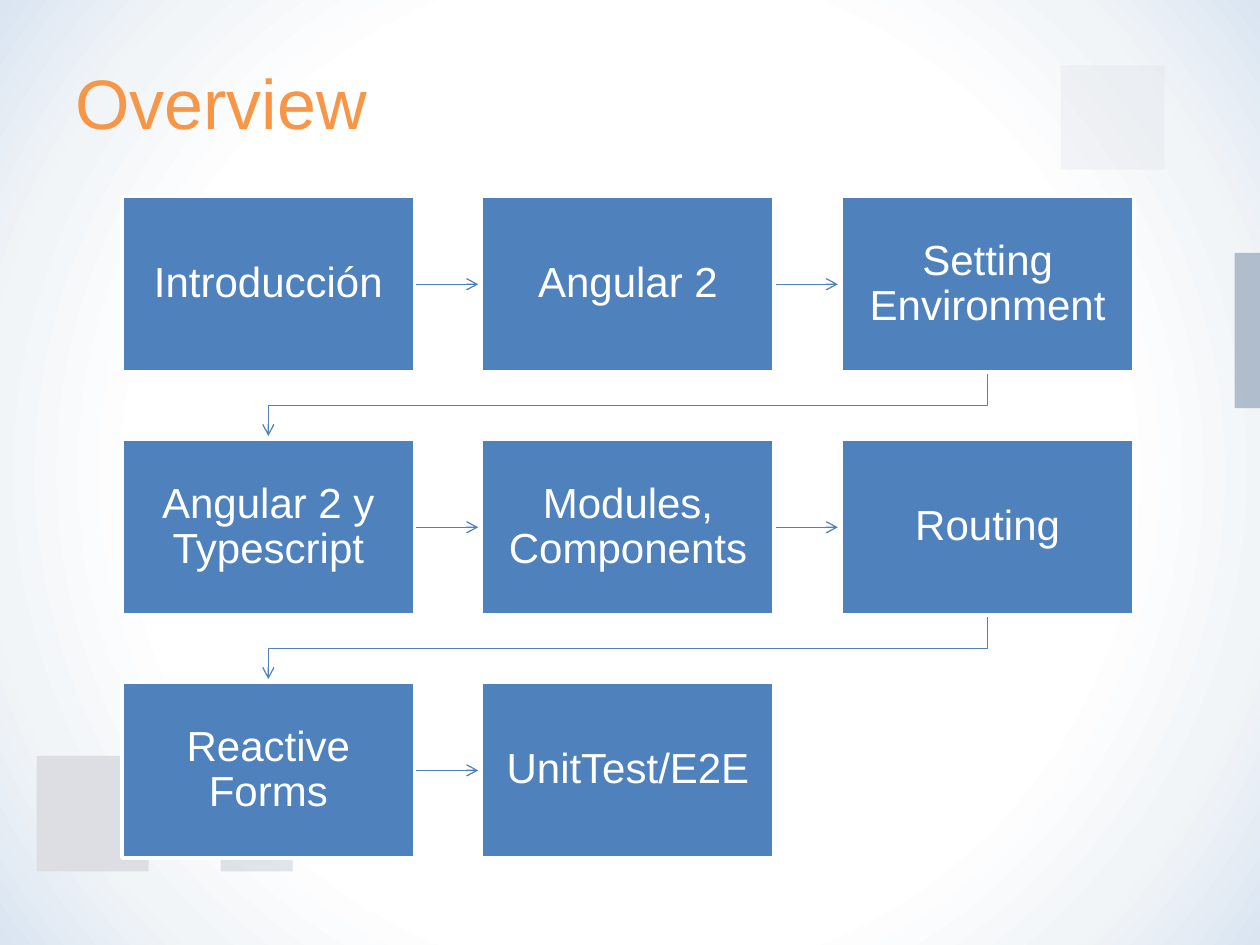
from lxml.etree import SubElement
from pptx import Presentation
from pptx.dml.color import RGBColor
from pptx.enum.shapes import MSO_CONNECTOR, MSO_SHAPE
from pptx.enum.text import MSO_ANCHOR, PP_ALIGN
from pptx.oxml import parse_xml
from pptx.oxml.ns import nsdecls, qn
from pptx.util import Cm, Pt

BLUE, ORANGE, WHITE = "4F81BD", "F79646", "FFFFFF"
SLATE, MIST = "8599B0", "DCDEE4"
GLOW = [(0, "FFFFFF"), (62, "FFFFFF"), (81, "F2F5F8"), (100, "DAE5F1")]

# left, top, width, height in cm, colour, opacity in percent
SQUARES = [
    (24.89, 5.1, 0.51, 3.13, SLATE, 60),
    (4.45, 16.15, 1.45, 1.42, SLATE, 24),
    (0.74, 15.24, 2.26, 2.33, MIST, 100),
    (21.38, 1.32, 2.1, 2.1, MIST, 28),
]
TOPICS = [
    "Introducción", "Angular 2", "Setting Environment",
    "Angular 2 y Typescript", "Modules, Components", "Routing",
    "Reactive Forms", "UnitTest/E2E",
]
COLS = 3
LEFT, TOP = 2.46, 3.96
BOX_W, BOX_H = 5.9, 3.54
STEP_X, STEP_Y = 7.25, 4.9
GAP = 0.07


def rgb(value):
    return RGBColor.from_string(value)


class Deck:
    """Holds the style and the current slide."""

    font = "Arial"
    line_width = Pt(0.75)

    def __init__(self, width, height):
        self.prs = Presentation()
        self.prs.slide_width, self.prs.slide_height = Cm(width), Cm(height)
        self.s = None

    def add_slide(self):
        self.s = self.prs.slides.add_slide(self.prs.slide_layouts[6])

    def background(self, stops):
        """Fill the slide with a round gradient from the centre outwards."""
        gs = "".join(
            f'<a:gs pos="{pos * 1000}"><a:srgbClr val="{color}"/></a:gs>'
            for pos, color in stops
        )
        bg = parse_xml(
            f'<p:bg {nsdecls("p", "a")}><p:bgPr><a:gradFill rotWithShape="1">'
            f'<a:gsLst>{gs}</a:gsLst><a:path path="circle">'
            '<a:fillToRect l="50000" t="50000" r="50000" b="50000"/></a:path>'
            "</a:gradFill><a:effectLst/></p:bgPr></p:bg>"
        )
        self.s._element.cSld.insert(0, bg)

    def set_text(self, sp, text, size, color, inset, align, spacing=1.0):
        tf = sp.text_frame
        frame = {"word_wrap": True, "vertical_anchor": MSO_ANCHOR.MIDDLE}
        for side in ("left", "top", "right", "bottom"):
            frame[f"margin_{side}"] = Cm(inset)
        p = tf.paragraphs[0]
        r = p.add_run()
        r.text = text
        formats = [
            (tf, frame),
            (p, {"alignment": align, "line_spacing": spacing}),
            (r.font, {"name": self.font, "size": Pt(size)}),
        ]
        for target, values in formats:
            for name, value in values.items():
                setattr(target, name, value)
        r.font.color.rgb = rgb(color)

    def title(self, text, x, y, w, h):
        sp = self.s.shapes.add_textbox(Cm(x), Cm(y), Cm(w), Cm(h))
        self.set_text(sp, text, 40, ORANGE, 0.25, PP_ALIGN.LEFT)

    def rect(self, x, y, w, h, color, opacity=100):
        sp = self.s.shapes.add_shape(
            MSO_SHAPE.RECTANGLE, Cm(x), Cm(y), Cm(w), Cm(h))
        sp.shadow.inherit = False
        sp.fill.solid()
        sp.fill.fore_color.rgb = rgb(color)
        sp.line.fill.background()
        if opacity < 100:
            clr = sp._element.spPr.find(f".//{qn('a:srgbClr')}")
            SubElement(clr, qn("a:alpha"), val=str(opacity * 1000))
        return sp

    def box(self, text, x, y, w, h):
        sp = self.rect(x, y, w, h, BLUE)
        sp.line.color.rgb = rgb(WHITE)
        sp.line.width = Pt(2)
        self.set_text(sp, text, 24, WHITE, 0.47, PP_ALIGN.CENTER, 0.9)

    def arrow_line(self, sp):
        """Give a line its colour, its width and an open arrowhead."""
        sp.line.color.rgb = rgb(BLUE)
        sp.line.width = self.line_width
        SubElement(sp.line._get_or_add_ln(), qn("a:tailEnd"), type="arrow")

    def arrow(self, x1, x2, y):
        sp = self.s.shapes.add_connector(
            MSO_CONNECTOR.STRAIGHT, Cm(x1), Cm(y), Cm(x2), Cm(y))
        self.arrow_line(sp)
        SubElement(sp._element.spPr, qn("a:effectLst"))

    def bent_arrow(self, points):
        start, *rest = [(Cm(x), Cm(y)) for x, y in points]
        builder = self.s.shapes.build_freeform(*start)
        builder.add_line_segments(rest, close=False)
        sp = builder.convert_to_shape()
        sp.shadow.inherit = False
        sp.fill.background()
        self.arrow_line(sp)


def box_origin(index):
    row, col = divmod(index, COLS)
    return LEFT + col * STEP_X, TOP + row * STEP_Y


def link(deck, index):
    """Draw the arrow from one topic to the next."""
    x, y = box_origin(index)
    next_x, next_y = box_origin(index + 1)
    if y == next_y:
        deck.arrow(x + BOX_W, next_x - GAP, y + BOX_H / 2)
        return
    start_x, end_x = x + BOX_W / 2, next_x + BOX_W / 2
    bottom = y + BOX_H
    middle = (bottom + next_y) / 2
    deck.bent_arrow([(start_x, bottom), (start_x, middle),
                     (end_x, middle), (end_x, next_y - GAP)])


def main():
    deck = Deck(25.4, 19.05)
    deck.add_slide()
    deck.background(GLOW)
    deck.title("Overview", 1.27, 0.15, 21.03, 3.81)
    for square in SQUARES:
        deck.rect(*square)
    for i, topic in enumerate(TOPICS):
        if i + 1 < len(TOPICS):
            link(deck, i)
        deck.box(topic, *box_origin(i), BOX_W, BOX_H)
    deck.prs.save("out.pptx")


if __name__ == "__main__":
    main()
